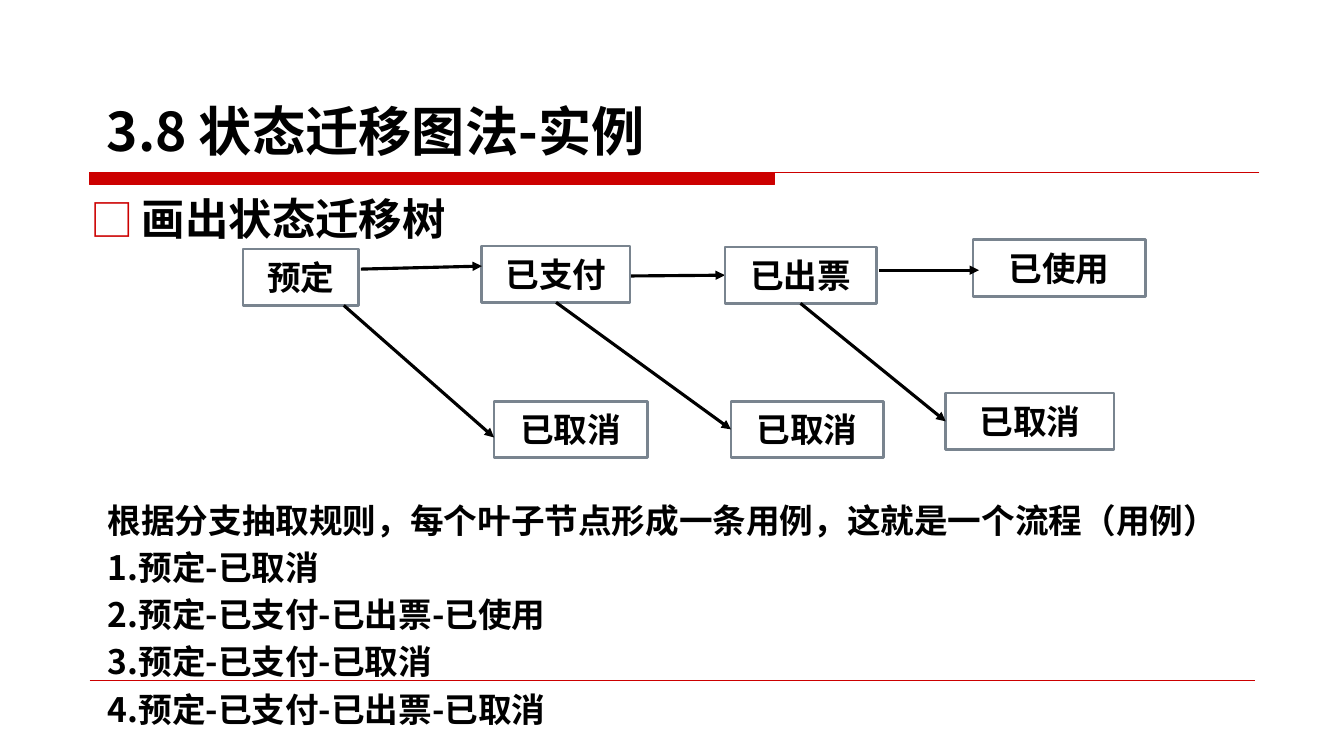
from dataclasses import dataclass
from typing import Optional

from lxml import etree
from pptx import Presentation, util as u
from pptx.dml.color import RGBColor
from pptx.enum import shapes, text
from pptx.oxml.ns import qn


@dataclass(frozen=True)
class Theme:
    red: RGBColor = RGBColor(0xCC, 0x00, 0x00)
    ink: RGBColor = RGBColor(0x00, 0x00, 0x00)
    paper: RGBColor = RGBColor(0xFF, 0xFF, 0xFF)
    border: RGBColor = RGBColor(0x79, 0x84, 0x8F)
    font: str = "Noto Sans CJK SC"
    title: float = 38
    heading: float = 31
    body: float = 24
    body_pitch: float = 33.7


@dataclass(frozen=True)
class State:
    label: str
    left: float
    top: float
    width: float
    height: float = 0.56


@dataclass(frozen=True)
class Transition:
    start: tuple[float, float]
    end: tuple[float, float]
    # (state key, side) where an end meets the middle of a side
    start_joint: Optional[tuple[str, int]] = None
    end_joint: Optional[tuple[str, int]] = None
    behind: bool = False


THEME = Theme()
BOTTOM, LEFT = 2, 1

STATES = {
    "booked": State("预定", 2.41, 2.47, 1.15),
    "paid": State("已支付", 4.78, 2.44, 1.47),
    "issued": State("已出票", 7.19, 2.45, 1.5),
    "used": State("已使用", 9.65, 2.38, 1.71),
    "booked_cancel": State("已取消", 4.9, 3.98, 1.52),
    "paid_cancel": State("已取消", 7.25, 3.98, 1.51),
    "issued_cancel": State("已取消", 9.38, 3.9, 1.67),
}

TRANSITIONS = [
    Transition((6.01, 2.74), (7.19, 2.73), end_joint=("issued", LEFT), behind=True),
    Transition((3.58, 2.67), (4.78, 2.64)),
    Transition((8.72, 2.68), (9.71, 2.68)),
    Transition((3.41, 3.03), (4.9, 4.34)),
    Transition((5.51, 3), (7.25, 4.26), ("paid", BOTTOM), ("paid_cancel", LEFT)),
    Transition((7.94, 3.01), (9.38, 4.18), ("issued", BOTTOM), ("issued_cancel", LEFT)),
]

TEST_CASES = [
    "根据分支抽取规则，每个叶子节点形成一条用例，这就是一个流程（用例）",
    "1.预定-已取消",
    "2.预定-已支付-已出票-已使用",
    "3.预定-已支付-已取消",
    "4.预定-已支付-已出票-已取消",
]


def style_text(frame, size: float) -> None:
    for paragraph in frame.paragraphs:
        for run in paragraph.runs:
            run.font.size = u.Pt(size)
            run.font.bold = True
            run.font.name = THEME.font
            run.font.color.rgb = THEME.ink
            east_asian = etree.SubElement(run._r.get_or_add_rPr(), qn("a:ea"))
            east_asian.set("typeface", THEME.font)


def add_text(slide, box: tuple[float, float, float, float], content: str,
             size: float, anchor):
    frame = slide.shapes.add_textbox(*map(u.Inches, box)).text_frame
    frame.word_wrap = True
    frame.vertical_anchor = anchor
    frame.text = content
    style_text(frame, size)
    return frame


def indent(paragraph, margin: float, first: float):
    properties = paragraph._p.get_or_add_pPr()
    properties.set("marL", str(u.Inches(margin)))
    properties.set("indent", str(u.Inches(first)))
    return properties


def add_line(slide, start: tuple[float, float], end: tuple[float, float],
             color: RGBColor, width: float):
    line = slide.shapes.add_connector(
        shapes.MSO_CONNECTOR.STRAIGHT, *map(u.Inches, (*start, *end)))
    line.line.color.rgb = color
    line.line.width = u.Pt(width)
    etree.SubElement(line._element.spPr, qn("a:effectLst"))
    return line


def add_header_bar(slide) -> None:
    left, top, bar_right, bar_bottom, rule_right = map(
        u.Inches, (0.89, 1.71, 7.68, 1.83, 12.49))
    outline = slide.shapes.build_freeform(left, top)
    outline.add_line_segments(
        [(bar_right, top), (bar_right, bar_bottom), (left, bar_bottom)], close=True)
    outline.move_to(left, top)
    outline.add_line_segments([(rule_right, top)], close=False)
    bar = outline.convert_to_shape()
    bar.shadow.inherit = False
    bar.fill.solid()
    bar.fill.fore_color.rgb = THEME.red
    bar.line.color.rgb = THEME.red
    bar.line.width = u.Pt(0.75)


def add_state(slide, state: State):
    box = slide.shapes.add_shape(
        shapes.MSO_SHAPE.RECTANGLE,
        *map(u.Inches, (state.left, state.top, state.width, state.height)))
    box.shadow.inherit = False
    box.fill.solid()
    box.fill.fore_color.rgb = THEME.paper
    box.line.color.rgb = THEME.border
    box.line.width = u.Pt(2)
    frame = box.text_frame
    frame.vertical_anchor = text.MSO_ANCHOR.MIDDLE
    frame.text = state.label
    frame.paragraphs[0].alignment = text.PP_ALIGN.CENTER
    style_text(frame, THEME.body)
    return box


def add_transition(slide, transition: Transition, boxes: dict, footer_rule) -> None:
    arrow = add_line(slide, transition.start, transition.end, THEME.ink, 2.25)
    etree.SubElement(arrow.line._get_or_add_ln(), qn("a:tailEnd")).set("type", "triangle")
    if transition.start_joint:
        key, side = transition.start_joint
        arrow.begin_connect(boxes[key], side)
    if transition.end_joint:
        key, side = transition.end_joint
        arrow.end_connect(boxes[key], side)
    if transition.behind:
        footer_rule._element.addnext(arrow._element)


def main() -> None:
    deck = Presentation()
    deck.slide_width, deck.slide_height = u.Inches(13.33), u.Inches(7.5)
    slide = deck.slides.add_slide(deck.slide_layouts[6])

    # Header bar and footer rule
    add_header_bar(slide)
    footer_rule = add_line(slide, (0.89, 6.75), (12.45, 6.75), THEME.red, 0.25)

    # Heading with a hollow square bullet
    heading = add_text(slide, (0.8, 1.65, 8.62, 0.82), "画出状态迁移树",
                       THEME.heading, text.MSO_ANCHOR.BOTTOM)
    properties = indent(heading.paragraphs[0], 0.51, -0.51)
    bullet_color = etree.SubElement(properties, qn("a:buClr"))
    etree.SubElement(bullet_color, qn("a:srgbClr")).set("val", str(THEME.red))
    etree.SubElement(properties, qn("a:buFont")).set("typeface", THEME.font)
    etree.SubElement(properties, qn("a:buChar")).set("char", "□")

    # State transition tree
    boxes = {key: add_state(slide, state) for key, state in STATES.items()}
    for transition in TRANSITIONS:
        add_transition(slide, transition, boxes, footer_rule)

    # Test cases, one for each leaf
    cases = add_text(slide, (0.45, 4.84, 11.98, 2.44), "\n".join(TEST_CASES),
                     THEME.body, text.MSO_ANCHOR.TOP)
    for paragraph in cases.paragraphs:
        indent(paragraph, 0.52, 0)
        paragraph.line_spacing = u.Pt(THEME.body_pitch)

    # Slide title
    add_text(slide, (0.96, 0.33, 8.75, 1.33), "3.8 状态迁移图法-实例",
             THEME.title, text.MSO_ANCHOR.BOTTOM)

    deck.save("out.pptx")


if __name__ == "__main__":
    main()
